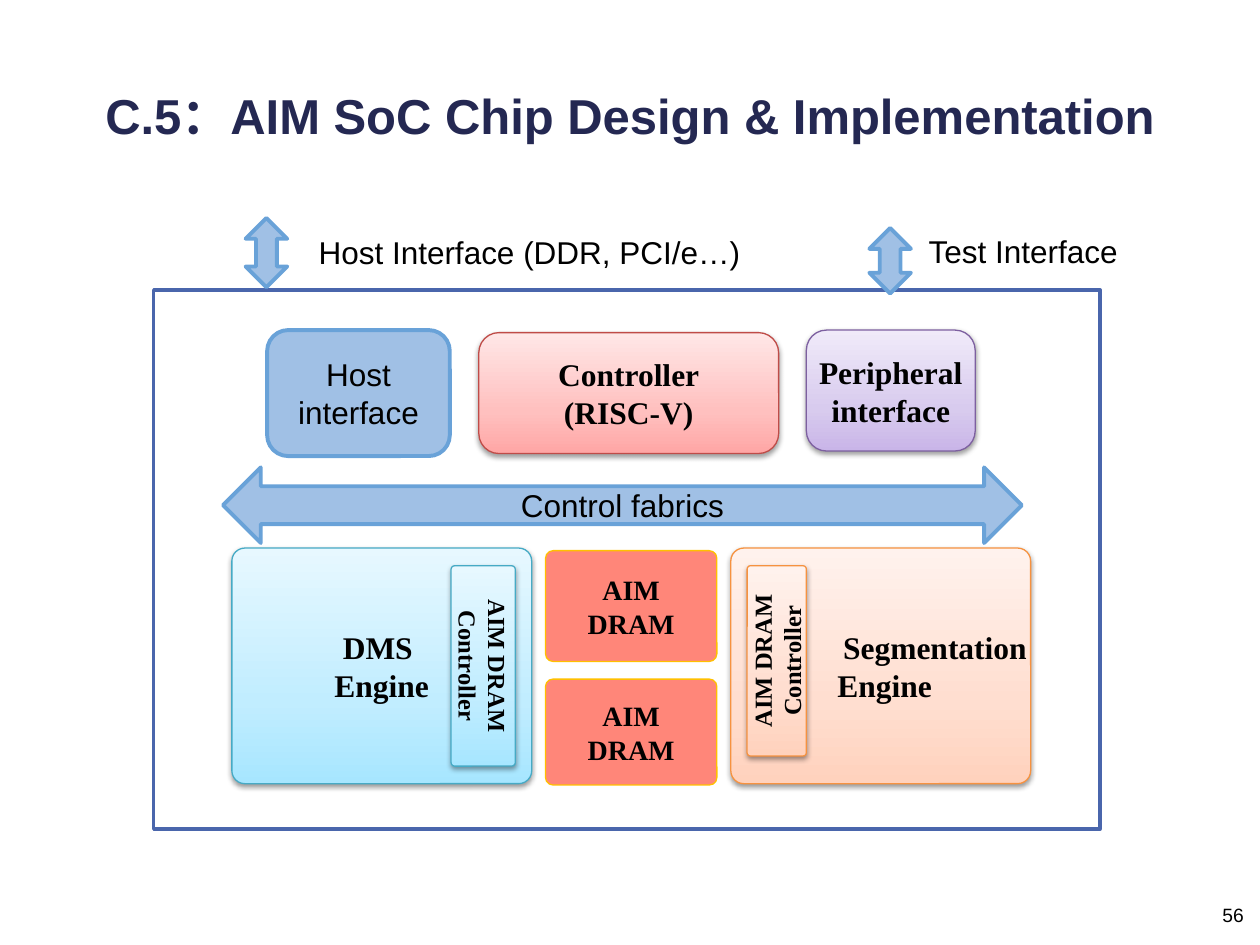
from copy import deepcopy

from lxml.etree import SubElement as Sub
from pptx import Presentation
from pptx.dml.color import RGBColor as RGB
from pptx.enum.shapes import MSO_SHAPE as Kind
from pptx.enum.text import MSO_ANCHOR as Anchor, MSO_AUTO_SIZE as Auto, PP_ALIGN as Align
from pptx.oxml.ns import qn
from pptx.util import Inches, Pt

BLACK = RGB(0x00, 0x00, 0x00)
NAVY = RGB(0x24, 0x28, 0x52)
FRAME = RGB(0x4A, 0x66, 0xAC)
SKY = RGB(0xA0, 0xC0, 0xE5)
BLUE = RGB(0x69, 0xA2, 0xD8)
CORAL = RGB(0xFF, 0x86, 0x79)
GOLD = RGB(0xFF, 0xC0, 0x00)
RED = RGB(0xBF, 0x4C, 0x48)
PLUM = RGB(0x7D, 0x60, 0xA0)
TEAL = RGB(0x46, 0xAA, 0xC5)
AMBER = RGB(0xF6, 0x92, 0x40)
REDS = RGB(0xFF, 0xA6, 0xA5), RGB(0xFF, 0xC0, 0xBF), RGB(0xFF, 0xE7, 0xE7)
PLUMS = RGB(0xC9, 0xB5, 0xE8), RGB(0xD8, 0xCB, 0xEE), RGB(0xF0, 0xEA, 0xF9)
TEALS = RGB(0xA7, 0xE6, 0xFF), RGB(0xC1, 0xED, 0xFF), RGB(0xE7, 0xF8, 0xFF)
AMBERS = RGB(0xFF, 0xD2, 0xBD), RGB(0xFF, 0xDE, 0xD0), RGB(0xFF, 0xF2, 0xED)
STOPS = 0, 0.35, 1

PLAIN = {"name": "Arial", "size": Pt(18), "bold": False}
STRONG = {"name": "Times New Roman", "size": Pt(18), "bold": True}
MID = STRONG | {"size": Pt(16)}
SMALL = STRONG | {"size": Pt(14)}
HEAD = PLAIN | {"size": Pt(28), "bold": True}
PAGE = PLAIN | {"size": Pt(11)}
TIGHT = {f"margin_{side}": 0 for side in ("left", "right", "top", "bottom")}
INNER = TIGHT | {"word_wrap": True, "vertical_anchor": Anchor.MIDDLE}
LOOSE = {"word_wrap": False, "auto_size": Auto.SHAPE_TO_FIT_TEXT}
CURVE = 0.055


def apply(thing, style):
    for key, value in style.items():
        setattr(thing, key, value)


class Sheet:
    def __init__(self, deck):
        self.slide = deck.slides.add_slide(deck.slide_layouts[5])
        self.shapes = self.slide.shapes

    def words(self, frame, lines, font, aligns=(Align.CENTER,), color=BLACK):
        frame.text = "\n".join(lines)
        for i, para in enumerate(frame.paragraphs):
            para.alignment = aligns[i % len(aligns)]
            apply(para.font, font)
            para.font.color.rgb = color

    def title(self, text, spot):
        head = self.shapes.title
        apply(head, dict(zip(("left", "top", "width", "height"), map(Inches, spot))))
        apply(head.text_frame, INNER)
        self.words(head.text_frame, [text], HEAD, color=NAVY)

    def label(self, text, spot, align, font=PLAIN, style=LOOSE):
        box = self.shapes.add_textbox(*map(Inches, spot))
        apply(box.text_frame, style)
        self.words(box.text_frame, [text], font, (align,))

    def shape(self, kind, spot, fill=SKY, line=BLUE, width=2.25, curve=None):
        item = self.shapes.add_shape(kind, *map(Inches, spot))
        item.shadow.inherit = False
        if fill is None:
            item.fill.background()
        else:
            item.fill.solid()
            item.fill.fore_color.rgb = fill
        item.line.color.rgb = line
        item.line.width = Pt(width)
        if curve is not None:
            item.adjustments[0] = curve
        return item

    def block(self, spot, lines, font=PLAIN, kind=Kind.ROUNDED_RECTANGLE,
              aligns=(Align.CENTER,), turn=None, **look):
        item = self.shape(kind, spot, **look)
        apply(item.text_frame, INNER)
        self.words(item.text_frame, lines, font, aligns)
        if turn:
            item.element.txBody.bodyPr.set("vert", turn)
        return item

    def shade(self, spot, lines, tints, line, font=STRONG, **look):
        item = self.block(spot, lines, font, line=line, width=0.75, **look)
        item.fill.gradient()
        item.fill.gradient_angle = 90
        gaps = item.element.spPr.find(qn("a:gradFill")).find(qn("a:gsLst"))
        gaps.append(deepcopy(gaps[-1]))
        for stop, tint, place in zip(item.fill.gradient_stops, tints, STOPS):
            stop.color.rgb = tint
            stop.position = place
        glow = Sub(item.element.spPr.find(qn("a:effectLst")), qn("a:outerShdw"),
                   blurRad=str(Pt(3.1)), dist=str(Pt(1.6)), dir="5400000", rotWithShape="0")
        black = Sub(glow, qn("a:srgbClr"), val="000000")
        Sub(black, qn("a:alpha"), val="38000")


def main():
    deck = Presentation()
    deck.slide_width, deck.slide_height = Inches(10), Inches(7.5)
    sheet = Sheet(deck)

    sheet.title("C.5：AIM SoC Chip Design & Implementation", (0, 0.6, 10, 0.62))
    sheet.label("56", (7.64, 7.12, 2.33, 0.37), Align.RIGHT, PAGE, {"word_wrap": True})

    sheet.shape(Kind.RECTANGLE, (1.22, 2.3, 7.51, 4.28), fill=None, line=FRAME, width=2)
    for spot in ((6.9, 1.81, 0.33, 0.52), (1.95, 1.73, 0.33, 0.55)):
        sheet.shape(Kind.UP_DOWN_ARROW, spot)
    sheet.label("Host Interface (DDR, PCI/e…)", (2.43, 1.8, 3.58, 0.4), Align.LEFT)
    sheet.label("Test Interface", (7.25, 1.79, 1.72, 0.4), Align.RIGHT)

    sheet.block((2.12, 2.62, 1.45, 1), ["Host interface"])
    sheet.shade((3.8, 2.64, 2.38, 0.96), ["Controller", "(RISC-V)"], REDS, RED)
    sheet.shade((6.4, 2.62, 1.34, 0.96), ["Peripheral", "interface"], PLUMS, PLUM)
    sheet.block((1.77, 3.71, 6.34, 0.6), ["Control fabrics"], kind=Kind.LEFT_RIGHT_ARROW)

    sheet.shade((1.84, 4.35, 2.38, 1.87), ["DMS ", "Engine"], TEALS, TEAL, curve=CURVE)
    sheet.shade((5.8, 4.35, 2.38, 1.87), ["Segmentation", " Engine"], AMBERS, AMBER,
                aligns=(Align.RIGHT, Align.CENTER), curve=CURVE)
    for spot, tints, line, turn in (
        ((3.58, 4.49, 0.51, 1.59), TEALS, TEAL, "vert"),
        ((5.93, 4.49, 0.47, 1.51), AMBERS, AMBER, "vert270"),
    ):
        sheet.shade(spot, ["AIM DRAM Controller"], tints, line, SMALL, turn=turn, curve=CURVE)
    for top, height in ((4.37, 0.88), (5.39, 0.84)):
        sheet.block((4.33, top, 1.36, height), ["AIM", "DRAM"], MID,
                    fill=CORAL, line=GOLD, width=0.75, curve=0.069)

    deck.save("out.pptx")


if __name__ == "__main__":
    main()
